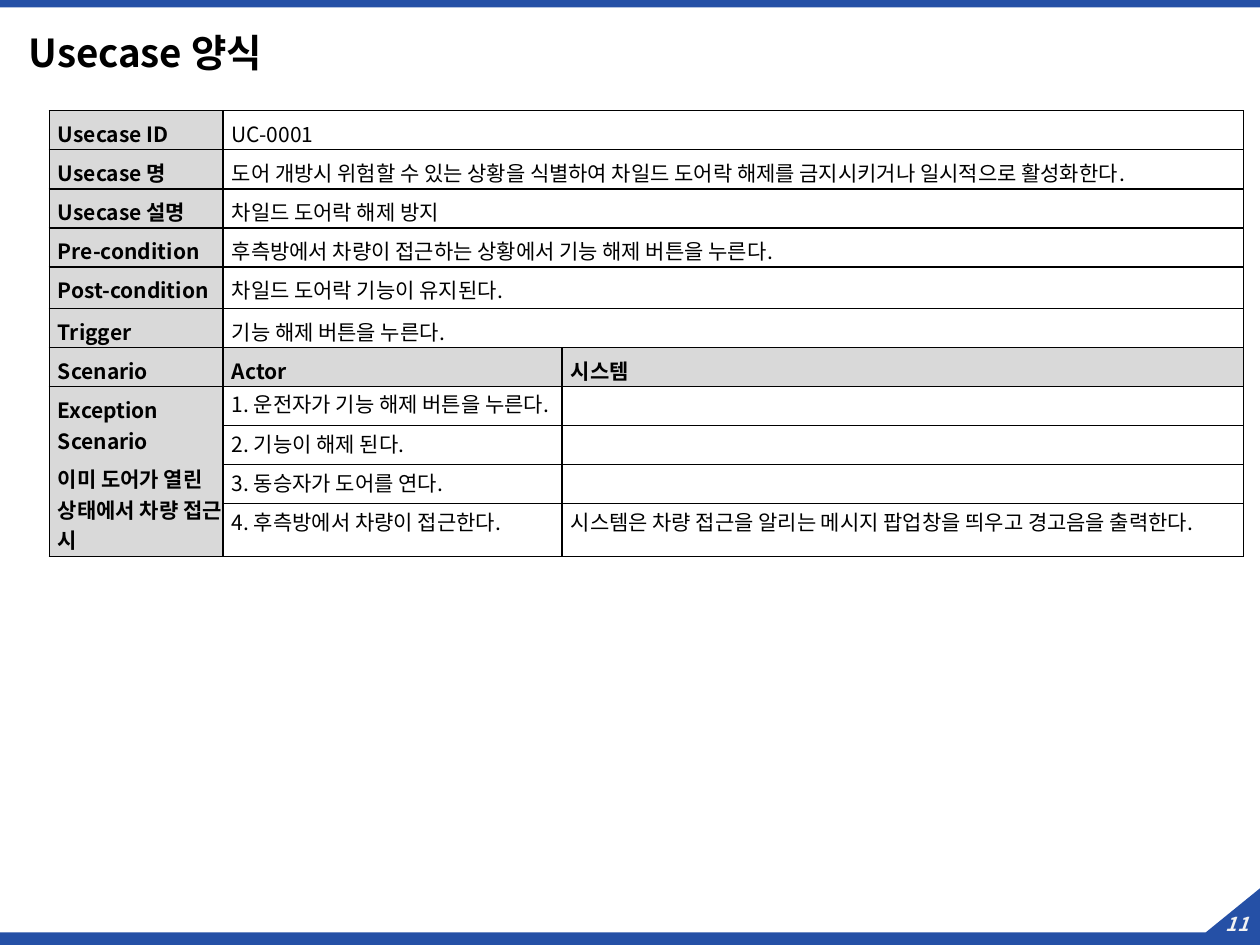
from dataclasses import dataclass

from lxml import etree
from pptx import Presentation
from pptx.dml.color import RGBColor
from pptx.enum.shapes import MSO_SHAPE
from pptx.enum.text import MSO_ANCHOR, PP_ALIGN
from pptx.oxml.ns import qn
from pptx.util import Inches, Pt

RECTANGLE = MSO_SHAPE.RECTANGLE
MIDDLE = MSO_ANCHOR.MIDDLE
CENTER, LEFT = PP_ALIGN.CENTER, PP_ALIGN.LEFT


@dataclass(frozen=True)
class Theme:
    font: str = "Noto Sans CJK KR"
    blue: str = "2550A6"
    grey: str = "D9D9D9"
    white: str = "FFFFFF"
    pale: str = "F2F2F2"
    black: str = "000000"
    title_size: int = 22
    body_size: int = 12
    number_size: int = 11
    border_width: float = 0.75


THEME = Theme()
COLUMN_WIDTHS = (1.38, 2.69, 5.41)
ROW_HEIGHTS = (0.31,) * 4 + (0.33,) + (0.31,) * 5 + (0.42,)
SUMMARY = (
    ("Usecase ID", "UC-0001"),
    ("Usecase 명", "도어 개방시 위험할 수 있는 상황을 식별하여 차일드 도어락 해제를 금지시키거나 일시적으로 활성화한다."),
    ("Usecase 설명", "차일드 도어락 해제 방지"),
    ("Pre-condition", "후측방에서 차량이 접근하는 상황에서 기능 해제 버튼을 누른다."),
    ("Post-condition", "차일드 도어락 기능이 유지된다."),
    ("Trigger", "기능 해제 버튼을 누른다."),
)
SCENARIO_HEADER = ("Scenario", "Actor", "시스템")
EXCEPTION = ("Exception\vScenario", "이미 도어가 열린 상태에서 차량 접근 시")
STEPS = (
    ("1. 운전자가 기능 해제 버튼을 누른다.", ""),
    ("2. 기능이 해제 된다.", ""),
    ("3. 동승자가 도어를 연다.", ""),
    ("4. 후측방에서 차량이 접근한다.", "시스템은 차량 접근을 알리는 메시지 팝업창을 띄우고 경고음을 출력한다."),
)


def set_font(para, size, color, bold=False, italic=False):
    font = para.font
    font.name, font.size, font.bold, font.italic = THEME.font, Pt(size), bold, italic
    font.color.rgb = RGBColor.from_string(color)
    properties = para._p.pPr.find(qn("a:defRPr"))
    etree.SubElement(properties, qn("a:ea"), typeface=THEME.font)


def paint(shape, color):
    shape.shadow.inherit = False
    shape.fill.solid()
    shape.fill.fore_color.rgb = RGBColor.from_string(color)
    shape.line.fill.background()


def add_label(page, box, text, size, color, align=LEFT, inset=(0, 0), italic=False):
    frame = page.shapes.add_textbox(*map(Inches, box)).text_frame
    frame.word_wrap = True
    frame.vertical_anchor = MIDDLE
    frame.margin_left = frame.margin_right = Inches(inset[0])
    frame.margin_top = frame.margin_bottom = Inches(inset[1])
    para = frame.paragraphs[0]
    para.text, para.alignment = text, align
    set_font(para, size, color, True, italic)
    return para


def add_top_bar(page, box):
    paint(page.shapes.add_shape(RECTANGLE, *map(Inches, box)), THEME.blue)


def add_footer(page, box, number):
    left, top, width, height = box
    right, bottom = left + width, top + height
    bar_top = bottom - 0.1
    outline = ((right, top), (right, bottom), (left, bottom),
               (left, bar_top), (right - 0.43, bar_top))
    points = [(Inches(x), Inches(y)) for x, y in outline]
    builder = page.shapes.build_freeform(*points[0])
    builder.add_line_segments(points[1:])
    paint(builder.convert_to_shape(), THEME.blue)
    add_label(page, (right - 0.39, bottom - 0.31, 0.42, 0.29), number,
              THEME.number_size, THEME.pale, CENTER, italic=True)


def add_title(page, box, text):
    para = add_label(page, box, text, THEME.title_size, THEME.black, inset=(0.1, 0.05))
    para.line_spacing = 0.9


def draw_borders(cell):
    properties = cell._tc.get_or_add_tcPr()
    for position, side in enumerate(("a:lnL", "a:lnR", "a:lnT", "a:lnB")):
        line = etree.Element(qn(side), w=str(Pt(THEME.border_width)))
        fill = etree.SubElement(line, qn("a:solidFill"))
        etree.SubElement(fill, qn("a:srgbClr"), val=THEME.black)
        properties.insert(position, line)


def fill_cell(cell, texts, heading=False, line_spacing=None):
    cell.margin_left, cell.margin_top = Inches(0.07), Inches(0.06)
    cell.margin_right = cell.margin_bottom = 0
    frame = cell.text_frame
    for index, text in enumerate(texts):
        para = frame.add_paragraph() if index else frame.paragraphs[0]
        para.text = text
        if index:
            para.space_before = Pt(4.7)
        if line_spacing:
            para.line_spacing = Pt(line_spacing)
        set_font(para, THEME.body_size, THEME.black, heading)
    cell.fill.solid()
    cell.fill.fore_color.rgb = RGBColor.from_string(THEME.grey if heading else THEME.white)


def add_usecase_table(page, box):
    frame = page.shapes.add_table(len(ROW_HEIGHTS), len(COLUMN_WIDTHS), *map(Inches, box))
    table = frame.table
    table.first_row = table.horz_banding = False
    for column, width in zip(table.columns, COLUMN_WIDTHS):
        column.width = Inches(width)
    for row, height in zip(table.rows, ROW_HEIGHTS):
        row.height = Inches(height)

    for index, (name, value) in enumerate(SUMMARY):
        table.cell(index, 1).merge(table.cell(index, 2))
        fill_cell(table.cell(index, 0), (name,), heading=True)
        fill_cell(table.cell(index, 1), (value,))

    header_row = len(SUMMARY)
    for column, text in enumerate(SCENARIO_HEADER):
        fill_cell(table.cell(header_row, column), (text,), heading=True)

    first_step = header_row + 1
    table.cell(first_step, 0).merge(table.cell(len(ROW_HEIGHTS) - 1, 0))
    fill_cell(table.cell(first_step, 0), EXCEPTION, heading=True)
    for index, step in enumerate(STEPS, first_step):
        for column, text in enumerate(step, 1):
            fill_cell(table.cell(index, column), (text,), line_spacing=14.2)

    for cell in table.iter_cells():
        draw_borders(cell)


def main():
    deck = Presentation()
    deck.slide_width, deck.slide_height = Inches(10), Inches(7.5)
    page = deck.slides.add_slide(deck.slide_layouts[6])
    add_top_bar(page, (0, 0, 10, 0.06))
    add_footer(page, (0, 7.05, 10, 0.45), "11")
    add_title(page, (0.13, 0.21, 9.47, 0.46), "Usecase 양식")
    add_usecase_table(page, (0.39, 0.88, sum(COLUMN_WIDTHS), sum(ROW_HEIGHTS)))
    deck.save("out.pptx")


if __name__ == "__main__":
    main()
